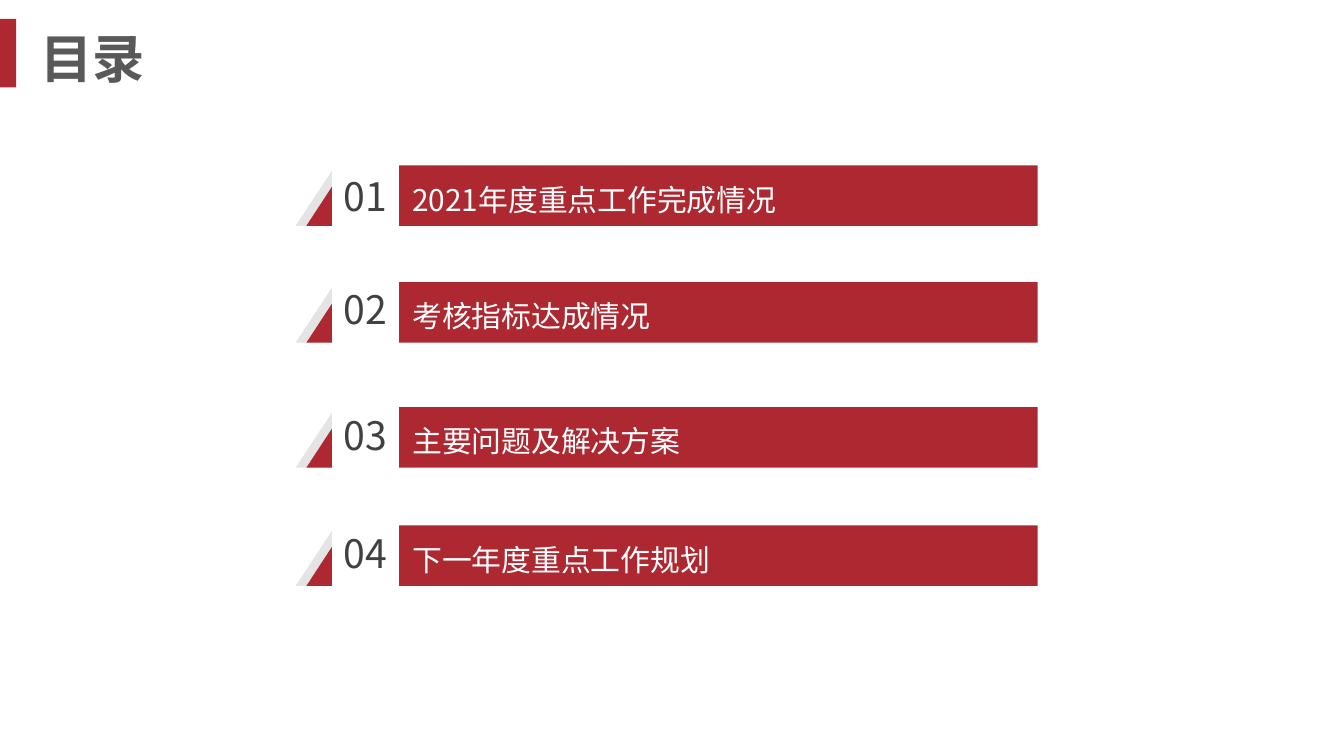
from dataclasses import dataclass

from lxml import etree
from pptx import Presentation
from pptx.dml.color import RGBColor
from pptx.enum.shapes import MSO_SHAPE
from pptx.enum.text import MSO_ANCHOR, MSO_AUTO_SIZE, PP_ALIGN
from pptx.oxml.ns import qn
from pptx.util import Inches, Pt

RECTANGLE = MSO_SHAPE.RECTANGLE
MIDDLE = MSO_ANCHOR.MIDDLE
NO_AUTOFIT = MSO_AUTO_SIZE.NONE
LEFT, CENTER = PP_ALIGN.LEFT, PP_ALIGN.CENTER


@dataclass(frozen=True)
class Theme:
    """Colours, font and type sizes of the agenda."""

    red: RGBColor = RGBColor(0xAD, 0x28, 0x30)
    pale: RGBColor = RGBColor(0xE4, 0xE4, 0xE4)
    heading: RGBColor = RGBColor(0x59, 0x59, 0x59)
    number: RGBColor = RGBColor(0x40, 0x40, 0x40)
    white: RGBColor = RGBColor(0xFF, 0xFF, 0xFF)
    font: str = "Noto Sans CJK SC"
    heading_size: int = 28
    number_size: int = 21
    topic_size: int = 16


THEME = Theme()
AGENDA = [
    (1.23, 1.23, "2021年度重点工作完成情况"),
    (2.10, 2.07, "考核指标达成情况"),
    (3.03, 3.01, "主要问题及解决方案"),
    (3.91, 3.89, "下一年度重点工作规划"),
]
SLIDE_WIDTH = 10
NUMBER_LEFT, BAR_LEFT, BAR_RIGHT = 2.47, 2.97, 7.72
BAR_HEIGHT = 0.45


def paint(shape, color):
    """Give a shape a flat fill without outline or shadow."""
    shape.fill.solid()
    shape.fill.fore_color.rgb = color
    shape.line.fill.background()
    shape.shadow.inherit = False


def write(shape, text, size, color, align=LEFT, bold=False):
    """Put one vertically centred, styled paragraph in a shape."""
    frame = shape.text_frame
    frame.text = text
    frame.word_wrap = True
    frame.auto_size = NO_AUTOFIT
    frame.vertical_anchor = MIDDLE
    paragraph = frame.paragraphs[0]
    paragraph.alignment = align
    font = paragraph.runs[0].font
    font.name, font.size, font.bold = THEME.font, Pt(size), bold
    font.color.rgb = color
    east_asian = etree.SubElement(font._element, qn("a:ea"))
    east_asian.set("typeface", THEME.font)
    return frame


def add_outline(slide, contours, color):
    """Draw closed contours, given in inches, as one freeform."""
    first, *others = [
        [(Inches(x), Inches(y)) for x, y in contour] for contour in contours
    ]
    builder = slide.shapes.build_freeform(*first[0])
    builder.add_line_segments(first[1:], close=True)
    for contour in others:
        builder.move_to(*contour[0])
        builder.add_line_segments(contour[1:], close=True)
    paint(builder.convert_to_shape(), color)


def triangle(left, top, bottom):
    """Return a right triangle standing against the number column."""
    return [(NUMBER_LEFT, top), (NUMBER_LEFT, bottom), (left, bottom)]


def add_text_box(slide, left, top, width):
    """Add an empty text box as tall as a bar."""
    return slide.shapes.add_textbox(
        Inches(left), Inches(top), Inches(width), Inches(BAR_HEIGHT)
    )


def add_heading(slide, text):
    """Add the red edge marker and the slide title."""
    marker = slide.shapes.add_shape(
        RECTANGLE, Inches(0), Inches(0.14), Inches(0.12), Inches(0.51)
    )
    paint(marker, THEME.red)
    title = slide.shapes.title
    title.left, title.top = Inches(0.2), Inches(0.14)
    title.width, title.height = Inches(8.27), Inches(0.51)
    frame = write(title, text, THEME.heading_size, THEME.heading, bold=True)
    frame.margin_top, frame.margin_bottom = Inches(0.07), Inches(0)


def add_agenda_row(slide, number, top, number_top, topic):
    """Add one agenda entry: triangles, bar, number and topic."""
    bottom = top + BAR_HEIGHT
    bar = [(BAR_LEFT, top), (BAR_RIGHT, top), (BAR_RIGHT, bottom), (BAR_LEFT, bottom)]
    add_outline(slide, [triangle(2.2, top + 0.04, bottom)], THEME.pale)
    add_outline(slide, [triangle(2.28, top + 0.16, bottom), bar], THEME.red)

    number_box = add_text_box(slide, NUMBER_LEFT, number_top, BAR_LEFT - NUMBER_LEFT)
    frame = write(number_box, f"{number:02}", THEME.number_size, THEME.number, CENTER)
    frame.margin_left = frame.margin_right = 0
    frame.margin_top = frame.margin_bottom = 0

    topic_box = add_text_box(slide, BAR_LEFT, top, BAR_RIGHT - BAR_LEFT)
    frame = write(topic_box, topic, THEME.topic_size, THEME.white)
    frame.paragraphs[0].line_spacing = 1.2


def main():
    """Build the agenda slide and save it."""
    deck = Presentation()
    deck.slide_width = Inches(SLIDE_WIDTH)
    deck.slide_height = Inches(SLIDE_WIDTH * 9 / 16)
    slide = deck.slides.add_slide(deck.slide_layouts[5])
    add_heading(slide, "目录")
    for number, (top, number_top, topic) in enumerate(AGENDA, start=1):
        add_agenda_row(slide, number, top, number_top, topic)
    deck.save("out.pptx")


if __name__ == "__main__":
    main()
